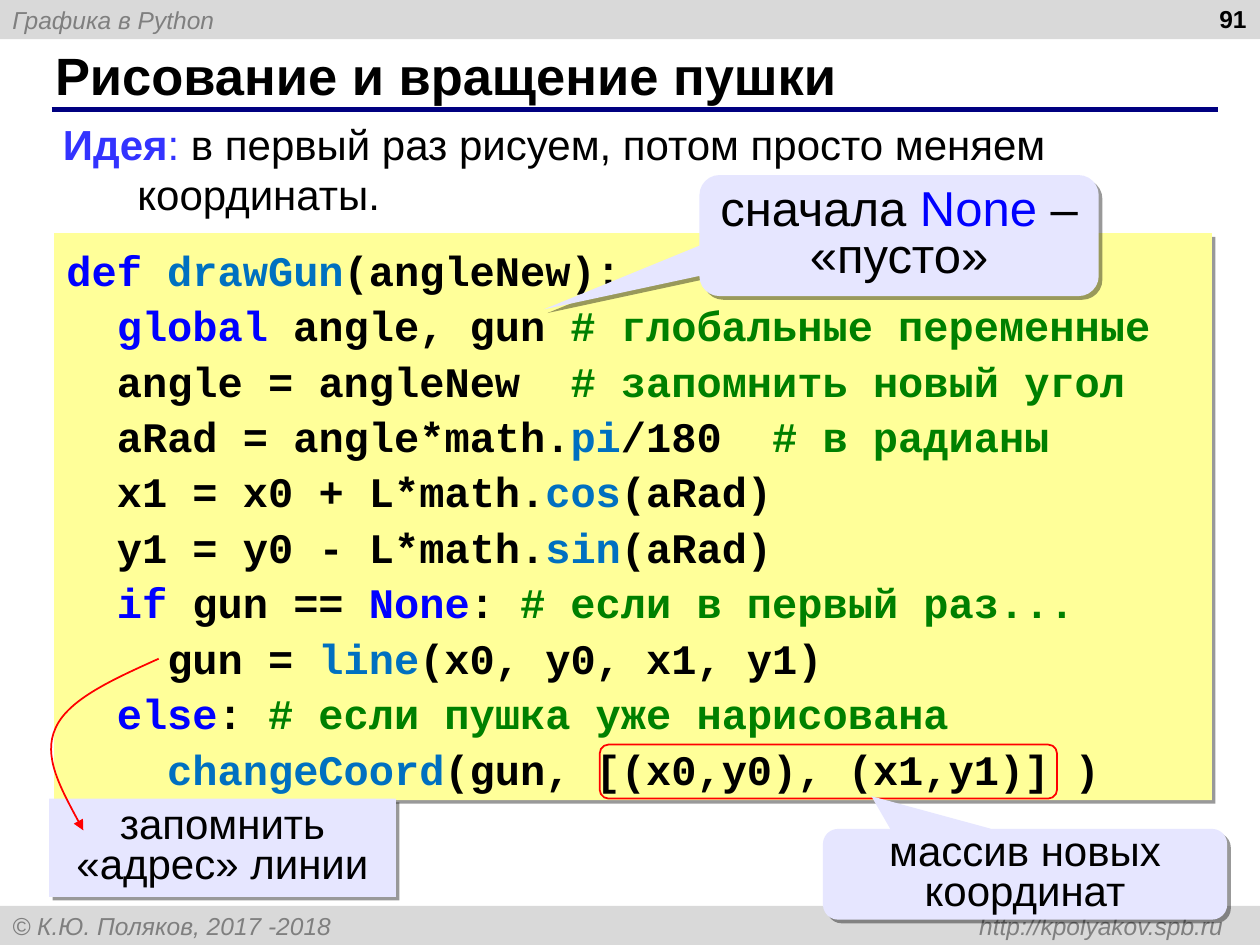
from lxml.etree import SubElement
from pptx import Presentation
from pptx.dml.color import RGBColor
from pptx.enum.shapes import MSO_CONNECTOR, MSO_SHAPE as Preset
from pptx.enum.text import MSO_ANCHOR as Anchor, PP_ALIGN as Align
from pptx.oxml.ns import qn
from pptx.util import Cm, Pt

COLORS = {
    "black": "000000", "bar": "D9D9D9", "muted": "7F7F7F", "rule": "000080",
    "idea": "3333FF", "paper": "FFFF99", "note": "E6E6FF", "mark": "FF0000",
    "key": "0000FF", "name": "0070C0", "comment": "008000",
}
CODE = [
    [("def ", "key"), ("drawGun", "name"), "(angleNew):"],
    ["  ", ("global", "key"), " angle, gun ", ("# глобальные переменные", "comment")],
    ["  angle = angleNew  ", ("# запомнить новый угол", "comment")],
    ["  aRad = angle*math.", ("pi", "name"), "/180  ", ("# в радианы", "comment")],
    ["  x1 = x0 + L*math.", ("cos", "name"), "(aRad)"],
    ["  y1 = y0 - L*math.", ("sin", "name"), "(aRad)"],
    ["  ", ("if", "key"), " gun == ", ("None", "key"), ": ", ("# если в первый раз...", "comment")],
    ["    gun = ", ("line", "name"), "(x0, y0, x1, y1)"],
    ["  ", ("else", "key"), ": ", ("# если пушка уже нарисована", "comment")],
    ["    ", ("changeCoord", "name"), "(gun, [(x0,y0), (x1,y1)] )"],
]


def rgb(name):
    """Return the named colour."""
    return RGBColor.from_string(COLORS[name])


def write_text(shape, lines, size=24, font="Arial", color="black", bold=False, italic=False,
               align=Align.LEFT, anchor=Anchor.TOP, spacing=None, hanging=None, right_tab=None):
    """Fill a shape with lines made of strings or (text, colour[, bold]) spans."""
    frame = shape.text_frame
    frame.word_wrap = True
    frame.vertical_anchor = anchor
    for index, line in enumerate(lines):
        para = frame.add_paragraph() if index else frame.paragraphs[0]
        props = para._p.get_or_add_pPr()
        if hanging:
            props.set("marL", str(hanging))
            props.set("indent", str(-hanging))
        if right_tab:
            SubElement(SubElement(props, qn("a:tabLst")), qn("a:tab"), pos=str(right_tab), algn="r")
        para.alignment = align
        para.line_spacing = spacing
        for part in [line] if isinstance(line, str) else line:
            words, tint, weight = ((part,) if isinstance(part, str) else part) + (None,) * (
                2 if isinstance(part, str) else 3 - len(part))
            span = para.add_run()
            span.text = words
            span.font.name, span.font.size = font, Pt(size)
            span.font.bold = bold if weight is None else weight
            span.font.italic = italic
            span.font.color.rgb = rgb(tint or color)


def add_box(page, box, preset=Preset.RECTANGLE, fill=None, line=None, shadow=False):
    """Add a preset shape with plain fill and line, and an optional cast shadow."""
    shape = page.shapes.add_shape(preset, *map(Cm, box))
    shape.shadow.inherit = False
    if fill:
        shape.fill.solid()
        shape.fill.fore_color.rgb = rgb(fill)
    else:
        shape.fill.background()
    if line:
        shape.line.color.rgb = rgb(line)
        shape.line.width = Pt(1)
    else:
        shape.line.fill.background()
    if shadow:
        effects = shape._element.spPr.find(qn("a:effectLst"))
        cast = SubElement(effects, qn("a:outerShdw"), dist=str(Pt(3)), dir="2700000",
                          algn="tl", rotWithShape="0")
        tint = SubElement(cast, qn("a:srgbClr"), val=COLORS["black"])
        SubElement(tint, qn("a:alpha"), val="40000")
    return shape


def add_label(page, box, lines, **style):
    """Add a text box."""
    write_text(page.shapes.add_textbox(*map(Cm, box)), lines, **style)


def add_bar(page, box, text, **style):
    """Add a grey strip with a muted italic caption."""
    write_text(add_box(page, box, fill="bar"), [text], size=14, color="muted", italic=True,
               anchor=Anchor.MIDDLE, **style)


def add_note(page, box, line, size=24, pointer=None):
    """Add a shadowed note, as a callout when a pointer offset is given."""
    preset = Preset.ROUNDED_RECTANGULAR_CALLOUT if pointer else Preset.RECTANGLE
    shape = add_box(page, box, preset, fill="note", shadow=True)
    if pointer:
        shape.adjustments[0], shape.adjustments[1] = pointer
    write_text(shape, [line], size=size, align=Align.CENTER, anchor=Anchor.MIDDLE, spacing=0.8)


def add_curve(page, points):
    """Draw a Bezier arrow from a start point and triples of control points."""
    start, *rest = [(Cm(x), Cm(y)) for x, y in points]
    builder = page.shapes.build_freeform(*start)
    builder.add_line_segments(rest, close=False)
    curve = builder.convert_to_shape()
    curve.shadow.inherit = False
    curve.fill.background()
    curve.line.color.rgb = rgb("mark")
    curve.line.width = Pt(1)
    SubElement(curve.line._get_or_add_ln(), qn("a:tailEnd"), type="triangle")
    outline = next(curve._element.iter(qn("a:moveTo"))).getparent()
    steps = outline.findall(qn("a:lnTo"))
    for first in range(0, len(steps), 3):
        bend = SubElement(outline, qn("a:cubicBezTo"))
        for step in steps[first:first + 3]:
            bend.append(step[0])
            outline.remove(step)


def add_heading(page, box):
    """Place the title, the rule below it and the page number."""
    left, top, width, height = box
    add_label(page, (left, top, width, height), ["Рисование и вращение пушки"],
              size=30, bold=True, anchor=Anchor.MIDDLE)
    rule = page.shapes.add_connector(MSO_CONNECTOR.STRAIGHT, Cm(left + 0.18), Cm(top + 1.37),
                                     Cm(left + width + 0.43), Cm(top + 1.37))
    rule.line.color.rgb = rgb("rule")
    rule.line.width = Pt(3)
    SubElement(rule._element.spPr, qn("a:effectLst"))
    add_label(page, (left + 18.6, top - 0.89, 5.92, height), ["91"],
              size=14, bold=True, align=Align.RIGHT)


def add_listing(page, box):
    """Place the code panel with its notes and marks."""
    left, top, width, height = box
    bottom = top + height
    panel = add_box(page, box, fill="paper", shadow=True)
    write_text(panel, CODE, font="Courier New", bold=True, spacing=1.1)
    add_note(page, (left + 13.01, top - 1.17, 8.05, 2.44),
             ["сначала ", ("None", "key"), " – «пусто»"], size=28, pointer=(-0.89, 0.61))
    add_note(page, (left - 0.1, bottom - 0.03, 6.99, 1.98), "запомнить «адрес» линии")
    bends = [(2.11, 8.58), (1.2, 8.99), (0.28, 9.4), (0.03, 9.98),
             (-0.23, 10.54), (0.18, 11.28), (0.59, 12.04)]
    add_curve(page, [(left + x, top + y) for x, y in bends])
    add_box(page, (left + 11, bottom - 1.12, 9.22, 1.09), Preset.ROUNDED_RECTANGLE, line="mark")
    add_note(page, (left + 15.5, bottom + 0.58, 8.15, 1.83), "массив новых координат",
             pointer=(-0.38, -0.86))


def main():
    """Build and save the slide."""
    deck = Presentation()
    deck.slide_width, deck.slide_height = Cm(25.4), Cm(19.05)
    page = deck.slides.add_slide(deck.slide_layouts[6])
    add_bar(page, (0, 0, 25.4, 0.79), "Графика в Python")
    add_bar(page, (0, 18.26, 25.4, 0.79), "© К.Ю. Поляков, 2017 -2018\thttp://kpolyakov.spb.ru",
            right_tab=Cm(24.41))
    add_heading(page, (0.86, 0.84, 23.27, 1.32))
    add_label(page, (1.02, 2.26, 23.37, 2.29),
              [[("Идея", "idea", True), (": ", "idea"),
                "в первый раз рисуем, потом просто меняем координаты."]], hanging=Cm(1.5))
    add_listing(page, (1.09, 4.7, 23.34, 11.43))
    deck.save("out.pptx")


if __name__ == "__main__":
    main()
